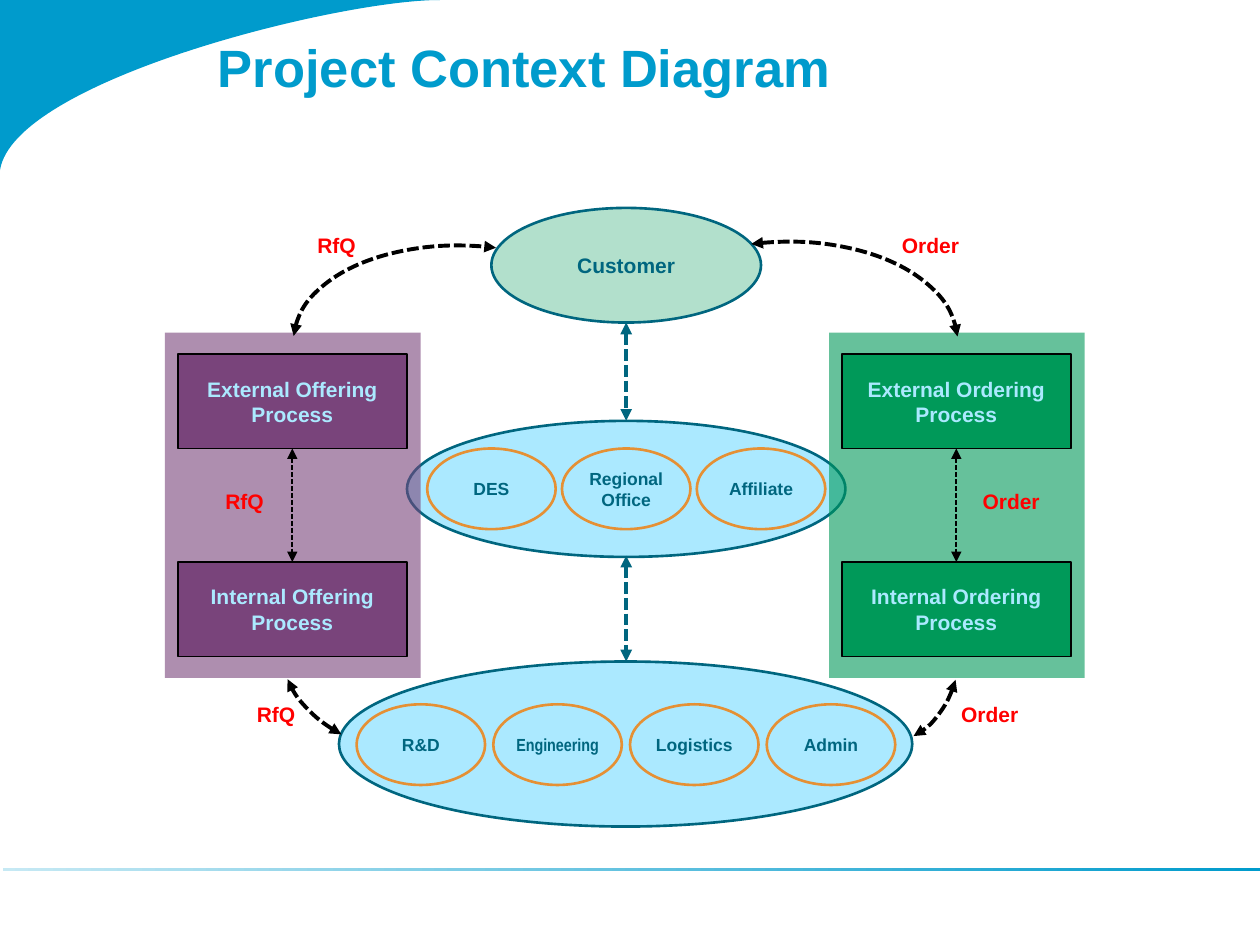
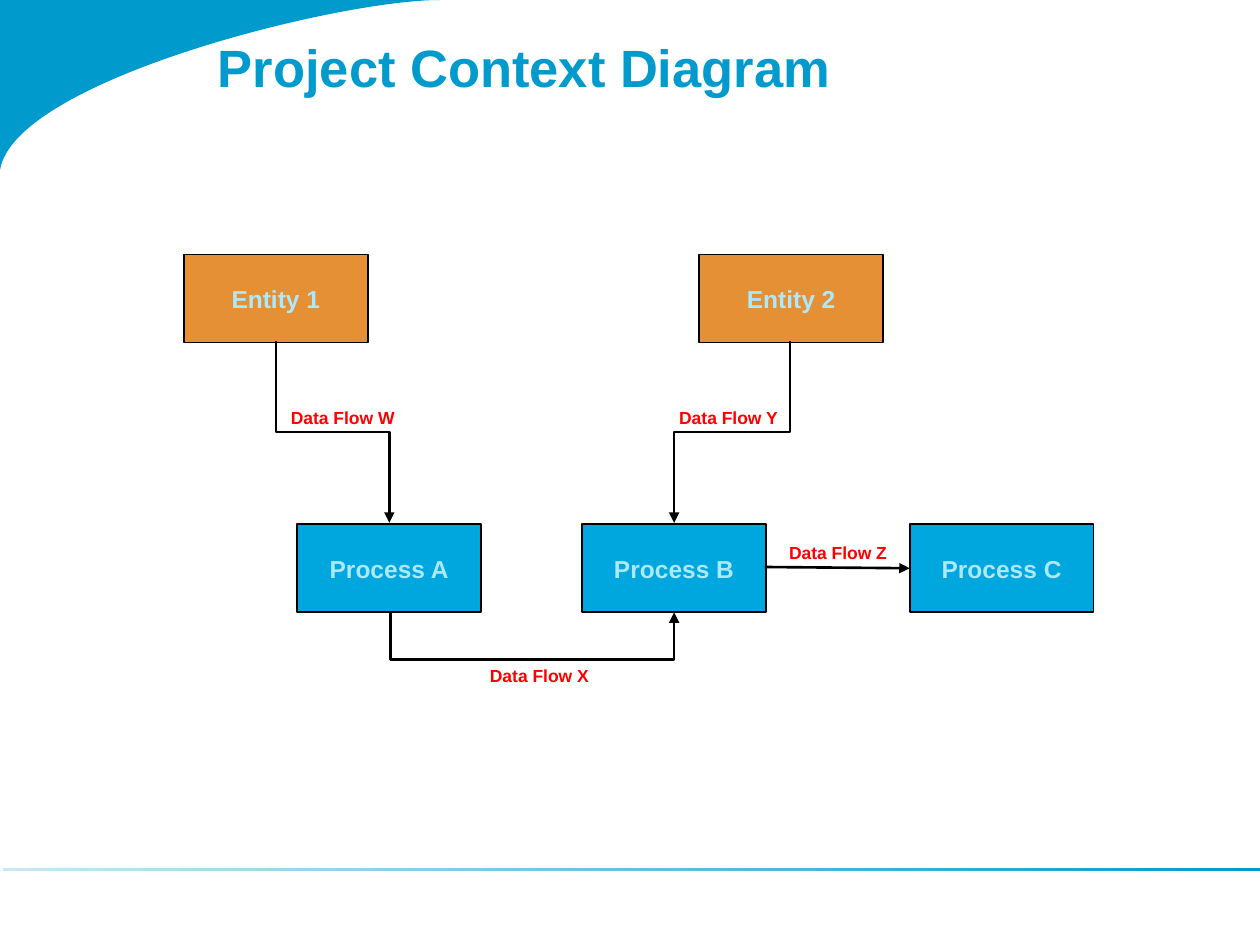
from lxml import etree
from pptx import Presentation
from pptx.dml.color import RGBColor
from pptx.enum import dml, shapes, text
from pptx.oxml.ns import qn
from pptx.util import Inches, Pt

rgb = RGBColor.from_string
BLUE, PALE, TEAL, SKY = "009BCC", "C6E9F4", "00667F", "ABE9FF"
PURPLE, GREEN, ORANGE, PROCESS = "79447B", "009959", "E59034", "00A6DE"
RED, BLACK = "FF0000", "000000"
RECT, OVAL, ARC = shapes.MSO_SHAPE.RECTANGLE, shapes.MSO_SHAPE.OVAL, shapes.MSO_SHAPE.ARC
STRAIGHT, ELBOW = shapes.MSO_CONNECTOR.STRAIGHT, shapes.MSO_CONNECTOR.ELBOW
LEFT, CENTER, RIGHT = text.PP_ALIGN.LEFT, text.PP_ALIGN.CENTER, text.PP_ALIGN.RIGHT


def box(s, kind, at, fill=None, line=None, width=1, alpha=None, label="",
        size=12, color=TEAL, font="Arial", align=CENTER, inset=0.1):
    """Add a filled shape, or a text box on one line when kind is None."""
    place = [Inches(v) for v in at]
    if kind is None:
        sp = s.shapes.add_textbox(*place)
        sp.text_frame.word_wrap = False
    else:
        sp = s.shapes.add_shape(kind, *place)
        sp.shadow.inherit = False
        sp.text_frame.word_wrap = True
        sp.text_frame.vertical_anchor = text.MSO_ANCHOR.MIDDLE
        sp.fill.solid()
        sp.fill.fore_color.rgb = rgb(fill)
        if alpha:
            clr = sp.fill._xPr.find(".//" + qn("a:srgbClr"))
            etree.SubElement(clr, qn("a:alpha")).set("val", str(alpha * 1000))
        if line:
            sp.line.color.rgb = rgb(line)
            sp.line.width = Pt(width)
        else:
            sp.line.fill.background()
    tf = sp.text_frame
    tf.margin_left = tf.margin_right = Inches(inset)
    if label:
        tf.text = label
        p = tf.paragraphs[0]
        p.alignment = align
        f = p.runs[0].font
        f.name, f.size, f.bold = font, Pt(size), True
        f.color.rgb = rgb(color)
    return sp


prs = Presentation()
prs.slide_width, prs.slide_height = Inches(10), Inches(7.5)
arrows = []  # (shape, colour, width, dashed and two-headed)

# Shared frame: corner sweep, footer rule, title
for _ in range(2):
    s = prs.slides.add_slide(prs.slide_layouts[6])
    fb = s.shapes.build_freeform(0, Inches(1.35), scale=1.0)
    corner = [(0.11, 0.64), (2.68, 0), (3.49, 0), (0, 0)]
    fb.add_line_segments([(Inches(x), Inches(y)) for x, y in corner])
    sweep = fb.convert_to_shape()
    sweep.shadow.inherit = False
    sweep.fill.solid()
    sweep.fill.fore_color.rgb = rgb(BLUE)
    sweep.line.fill.background()
    # The first three points become one Bezier curve
    segments = list(sweep._element.iter(qn("a:lnTo")))[:3]
    bez = etree.Element(qn("a:cubicBezTo"))
    segments[0].addprevious(bez)
    for seg in segments:
        bez.append(seg[0])
        seg.getparent().remove(seg)

    rule = box(s, RECT, (0.02, 6.89, 9.98, 0.02), BLUE)
    rule.fill.gradient()
    rule.fill.gradient_angle = 0
    for stop, color in zip(rule.fill.gradient_stops, (PALE, BLUE)):
        stop.color.rgb = rgb(color)

    title = box(s, None, (1.65, 0, 7.68, 1.47), label="Project Context Diagram",
                size=30, color=BLUE, align=LEFT, inset=0.08)
    title.text_frame.word_wrap = True
    title.text_frame.margin_top = Inches(0.28)

context, flow = prs.slides

# Slide 1: customer, offices and departments down the middle
box(context, OVAL, (3.9, 1.65, 2.14, 0.91), GREEN, TEAL, 1.5, alpha=30, label="Customer")
groups = [
    ((3.23, 3.34, 3.48, 1.08), 3.39, 3.56, 1.07, ["DES", "Regional Office", "Affiliate"]),
    ((2.69, 5.25, 4.55, 1.31), 2.83, 5.59, 1.085, ["R&D", "Engineering", "Logistics", "Admin"]),
]
for outline, left, top, step, units in groups:
    box(context, OVAL, outline, SKY, TEAL, 1.5)
    for i, unit in enumerate(units):
        font = "Arial Narrow" if unit == "Engineering" else "Arial"
        box(context, OVAL, (left + i * step, top, 1.02, 0.64), SKY, ORANGE, 1.5,
            label=unit, size=10, font=font, inset=0)
for y1, y2 in [(2.56, 3.34), (4.41, 5.25)]:
    c = context.shapes.add_connector(STRAIGHT, Inches(4.97), Inches(y1), Inches(4.97), Inches(y2))
    arrows.append((c, TEAL, 2.25, True))

# Offering on the left, ordering on the right
sides = [
    (1.31, PURPLE, "Offering", "RfQ", 0.54, [(2.42, 1.8), (1.69, 3.83), (1.94, 5.52)]),
    (6.58, GREEN, "Ordering", "Order", 0.7, [(7.06, 1.8), (7.7, 3.83), (7.53, 5.52)]),
]
for left, color, activity, message, width, places in sides:
    box(context, RECT, (left, 2.64, 2.03, 2.74), color, alpha=60)
    for top, scope in [(2.81, "External"), (4.46, "Internal")]:
        box(context, RECT, (left + 0.1, top, 1.82, 0.75), color, BLACK,
            label=f"{scope} {activity} Process", color=SKY)
    x = Inches(left + 1.01)
    c = context.shapes.add_connector(STRAIGHT, x, Inches(3.56), x, Inches(4.46))
    arrows.append((c, BLACK, 1, True))
    for x, y in places:
        box(context, None, (x, y, width, 0.3), label=message, color=RED, align=LEFT)

# Frame, rotation, start and end angle of each arc
for at, turn, start, end in [
    ((6.81, 4.68, 0.79, 1.21), 196.3, 180, 249),
    ((2.51, 4.78, 0.79, 1.41), 298.6, 181, 250),
    ((4.53, 1.93, 3.08, 1.84), 353.3, 270, 0),
    ((2.32, 1.96, 3.03, 1.76), 186.6, 0, 90),
]:
    arc = context.shapes.add_shape(ARC, *[Inches(v) for v in at])
    arc.rotation = turn
    for i, angle in enumerate((start, end)):
        arc.adjustments[i] = angle * 0.6  # 60000ths of a degree, per 100000
    arc.shadow.inherit = False
    arc.fill.background()
    arrows.append((arc, BLACK, 2.25, True))

# Slide 2: entities above, processes below
for name, x, y, color in [
    ("Entity 1", 1.46, 2.02, ORANGE), ("Entity 2", 5.55, 2.02, ORANGE),
    ("Process A", 2.36, 4.16, PROCESS), ("Process B", 4.62, 4.16, PROCESS),
    ("Process C", 7.22, 4.16, PROCESS),
]:
    box(flow, RECT, (x, y, 1.46, 0.7), color, BLACK, label=name, size=14, color=SKY)

for name, x, y, align in [
    ("W", 2.21, 3.18, LEFT), ("Y", 5.25, 3.18, RIGHT),
    ("Z", 6.14, 4.25, CENTER), ("X", 3.77, 5.23, CENTER),
]:
    box(flow, None, (x, y, 1.02, 0.27), label=f"Data Flow {name}",
        size=10, color=RED, align=align)

# Elbows leave and arrive vertically, so each is laid out sideways and turned
for x1, y1, x2, y2, drop in [
    (2.19, 2.71, 3.09, 4.15, 0.72),
    (6.27, 2.71, 5.35, 4.15, 0.72),
    (3.1, 4.85, 5.35, 4.86, 0.39),
]:
    side = 1 if x2 > x1 else -1
    cx, cy = (x1 + x2) / 2, (y1 + y2) / 2
    dx, dy = side * (y2 - y1) / 2, abs(x2 - x1) / 2
    c = flow.shapes.add_connector(ELBOW, Inches(cx + dx), Inches(cy - dy),
                                  Inches(cx - dx), Inches(cy + dy))
    sp_pr = c._element.spPr
    sp_pr.find(qn("a:xfrm")).set("rot", str((270 if side > 0 else 90) * 60000))
    geom = sp_pr.find(qn("a:prstGeom"))
    av = geom.find(qn("a:avLst"))
    if av is None:
        av = etree.SubElement(geom, qn("a:avLst"))
    bend = round(drop / (y2 - y1) * 100000)
    etree.SubElement(av, qn("a:gd"), name="adj1", fmla=f"val {bend}")
    arrows.append((c, BLACK, 1.5, False))
c = flow.shapes.add_connector(STRAIGHT, Inches(6.07), Inches(4.5), Inches(7.22), Inches(4.51))
arrows.append((c, BLACK, 1.5, False))

for sp, color, width, two_way in arrows:
    sp.line.color.rgb = rgb(color)
    sp.line.width = Pt(width)
    if two_way:
        sp.line.dash_style = dml.MSO_LINE.SQUARE_DOT
    sp_pr = sp._element.spPr
    ln = sp_pr.find(qn("a:ln"))
    for end in ["headEnd", "tailEnd"] if two_way else ["tailEnd"]:
        etree.SubElement(ln, qn(f"a:{end}"), type="triangle")
    if sp_pr.find(qn("a:effectLst")) is None:
        etree.SubElement(sp_pr, qn("a:effectLst"))

prs.save("out.pptx")
